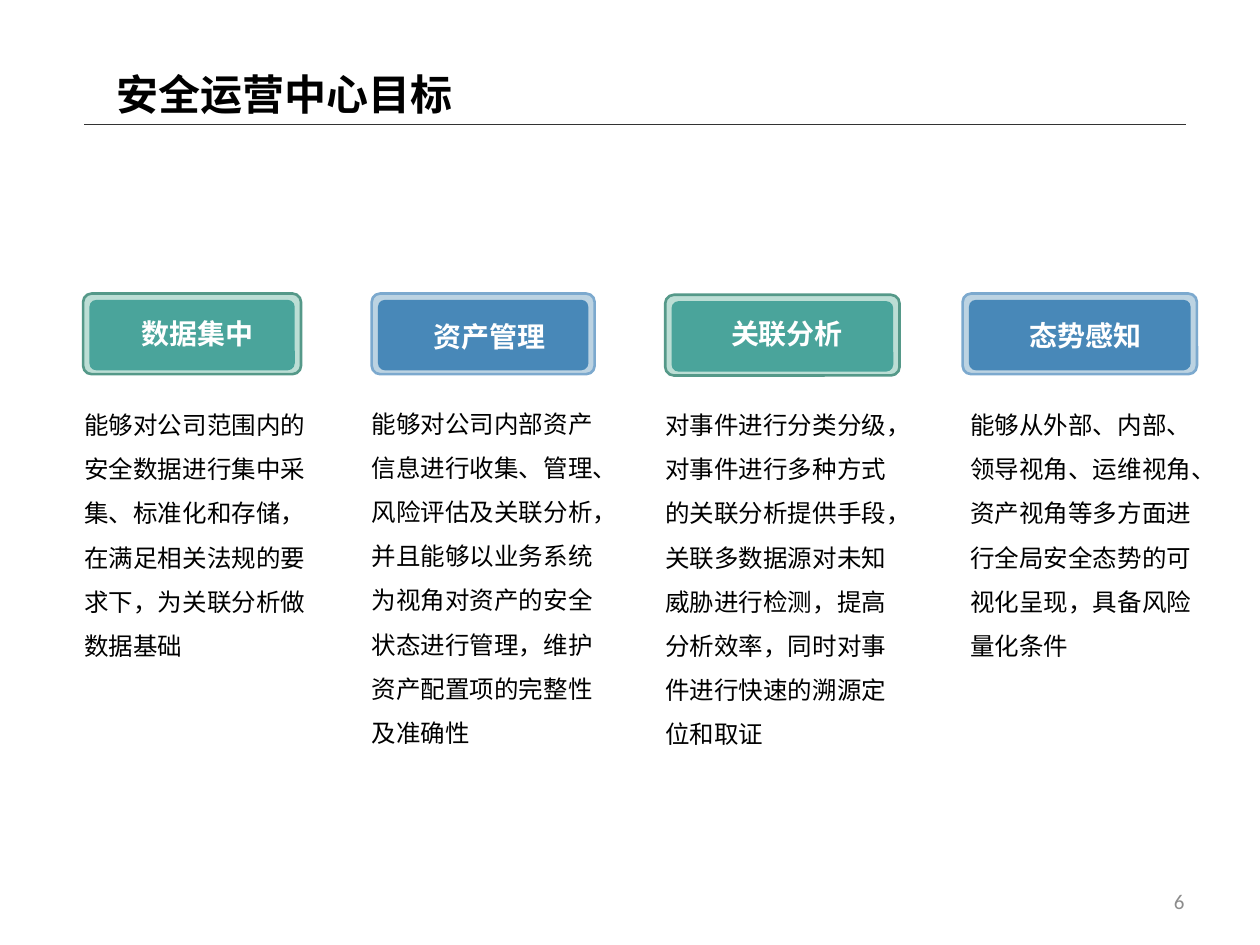
from lxml import etree
from pptx import Presentation
from pptx.dml.color import RGBColor
from pptx.enum.shapes import MSO_CONNECTOR, MSO_SHAPE
from pptx.enum.text import MSO_ANCHOR, PP_ALIGN
from pptx.oxml.ns import qn
from pptx.util import Inches, Pt

CJK = "Noto Sans CJK SC"
COLORS = {"text": "000000", "rule": "333333", "number": "8C8C8C", "white": "FFFFFF"}
GREEN = {"frame": "BCDED5", "edge": "559989", "plate": "4AA49B"}
BLUE = {"frame": "BCD3E2", "edge": "7CA9CE", "plate": "4888B8"}

# heading, theme, header box, label box, body box (left, top, width, height), body
GOALS = [
    ("数据集中", GREEN, (0.66, 2.33, 1.73, 0.64), (1.08, 2.51, 0.98, 0.27),
     (0.67, 2.98, 1.86, 2.4),
     "能够对公司范围内的安全数据进行集中采集、标准化和存储，在满足相关法规的要求下，为关联分析做数据基础"),
    ("资产管理", BLUE, (2.95, 2.33, 1.77, 0.64), (3.26, 2.52, 1.25, 0.3),
     (2.95, 2.97, 1.88, 3.15),
     "能够对公司内部资产信息进行收集、管理、风险评估及关联分析，并且能够以业务系统为视角对资产的安全状态进行管理，维护资产配置项的完整性及准确性"),
    ("关联分析", GREEN, (5.28, 2.34, 1.86, 0.64), (5.72, 2.51, 1.05, 0.27),
     (5.28, 2.98, 1.86, 3.15),
     "对事件进行分类分级，对事件进行多种方式的关联分析提供手段，关联多数据源对未知威胁进行检测，提高分析效率，同时对事件进行快速的溯源定位和取证"),
    ("态势感知", BLUE, (7.64, 2.33, 1.86, 0.64), (7.96, 2.53, 1.31, 0.27),
     (7.7, 2.98, 1.88, 2.44),
     "能够从外部、内部、领导视角、运维视角、资产视角等多方面进行全局安全态势的可视化呈现，具备风险量化条件"),
]


def rgb(color):
    return RGBColor.from_string(color)


def add_text(shapes, box, text, size, color=COLORS["text"], font=CJK, bold=False,
             align=PP_ALIGN.LEFT, anchor=MSO_ANCHOR.MIDDLE, insets=(0.1, 0.05), spacing=None):
    frame = shapes.add_textbox(*map(Inches, box)).text_frame
    frame.word_wrap = True
    frame.vertical_anchor = anchor
    frame.margin_left = frame.margin_right = Inches(insets[0])
    frame.margin_top = frame.margin_bottom = Inches(insets[1])
    paragraph = frame.paragraphs[0]
    paragraph.alignment = align
    if spacing:
        paragraph.line_spacing = spacing
    run = paragraph.add_run()
    run.text = text
    run.font.name = font
    run.font.size = Pt(size)
    run.font.bold = bold
    run.font.color.rgb = rgb(color)
    properties = run.font._element
    properties.set("lang", "zh-CN")
    etree.SubElement(properties, qn("a:ea")).set("typeface", font)


def add_panel(shapes, box, fill, corner, edge=None):
    panel = shapes.add_shape(MSO_SHAPE.ROUNDED_RECTANGLE, *map(Inches, box))
    panel.adjustments[0] = corner
    panel.shadow.inherit = False
    panel.fill.solid()
    panel.fill.fore_color.rgb = rgb(fill)
    if edge:
        panel.line.color.rgb = rgb(edge)
        panel.line.width = Pt(1.5)
    else:
        panel.line.fill.background()


def add_title(slide, left, top, width, height):
    add_text(slide.shapes, (left + 0.16, top, 5.91, height), "安全运营中心目标", 24, bold=True)
    y = Inches(top + height)
    rule = slide.shapes.add_connector(MSO_CONNECTOR.STRAIGHT, Inches(left), y,
                                      Inches(left + width), y)
    rule.line.color.rgb = rgb(COLORS["rule"])
    rule.line.width = Pt(0.75)
    etree.SubElement(rule._element.spPr, qn("a:effectLst"))


def add_header(slide, box, label_box, heading, theme):
    header = slide.shapes.add_group_shape().shapes
    left, top, width, height = box
    gap = 0.05
    add_panel(header, box, theme["frame"], 0.106, theme["edge"])
    add_panel(header, (left + gap, top + gap, width - 2 * gap, height - 0.08),
              theme["plate"], 0.1)
    add_text(header, label_box, heading, 16, color=COLORS["white"], bold=True,
             align=PP_ALIGN.CENTER, insets=(0, 0))


def main():
    prs = Presentation()
    prs.slide_width, prs.slide_height = Inches(10), Inches(7.5)
    slide = prs.slides.add_slide(prs.slide_layouts[6])

    # Title and rule
    add_title(slide, 0.67, 0.49, 8.74, 0.5)

    # Goal columns
    for heading, theme, header_box, label_box, body_box, body in GOALS:
        add_text(slide.shapes, body_box, body, 14, anchor=MSO_ANCHOR.TOP,
                 insets=(0, 0.16), spacing=1.5)
        add_header(slide, header_box, label_box, heading, theme)

    # Page number
    add_text(slide.shapes, (7.17, 6.95, 2.33, 0.4), "6", 12, color=COLORS["number"],
             font="Calibri", align=PP_ALIGN.RIGHT)

    prs.save("out.pptx")


if __name__ == "__main__":
    main()
